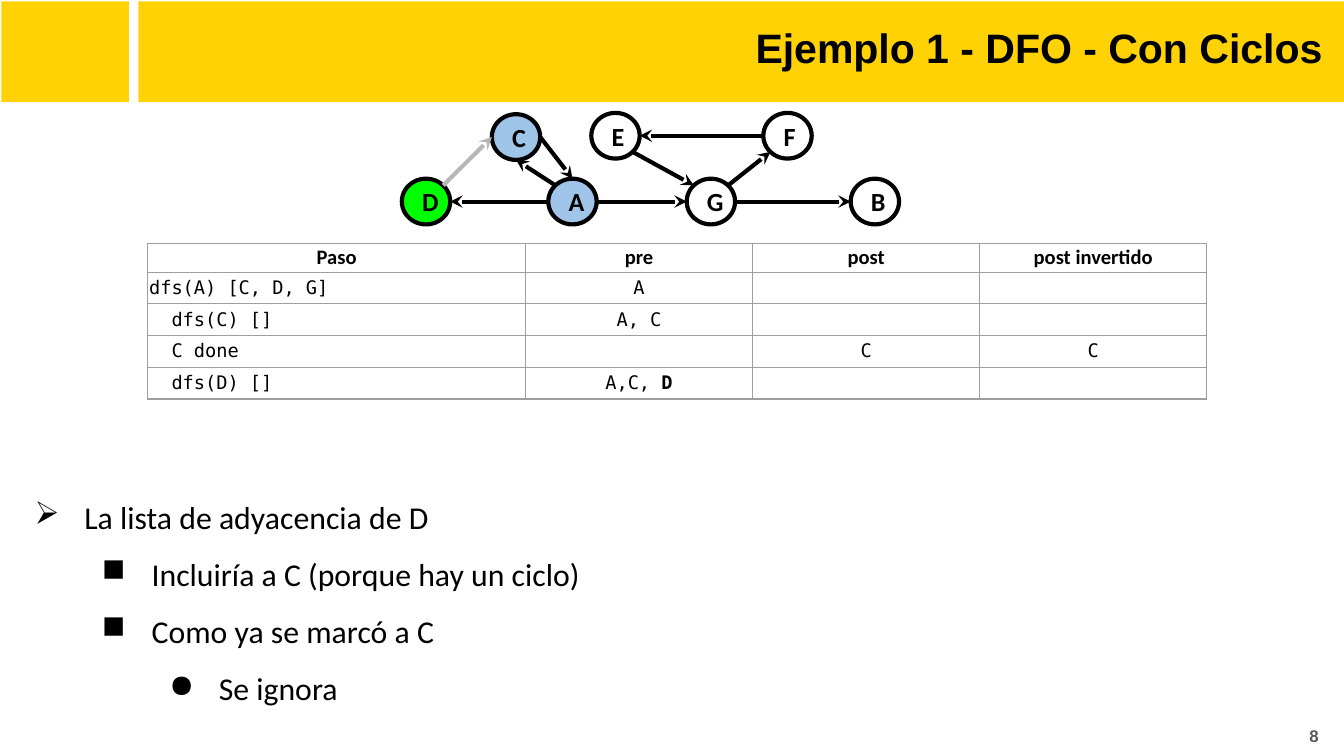
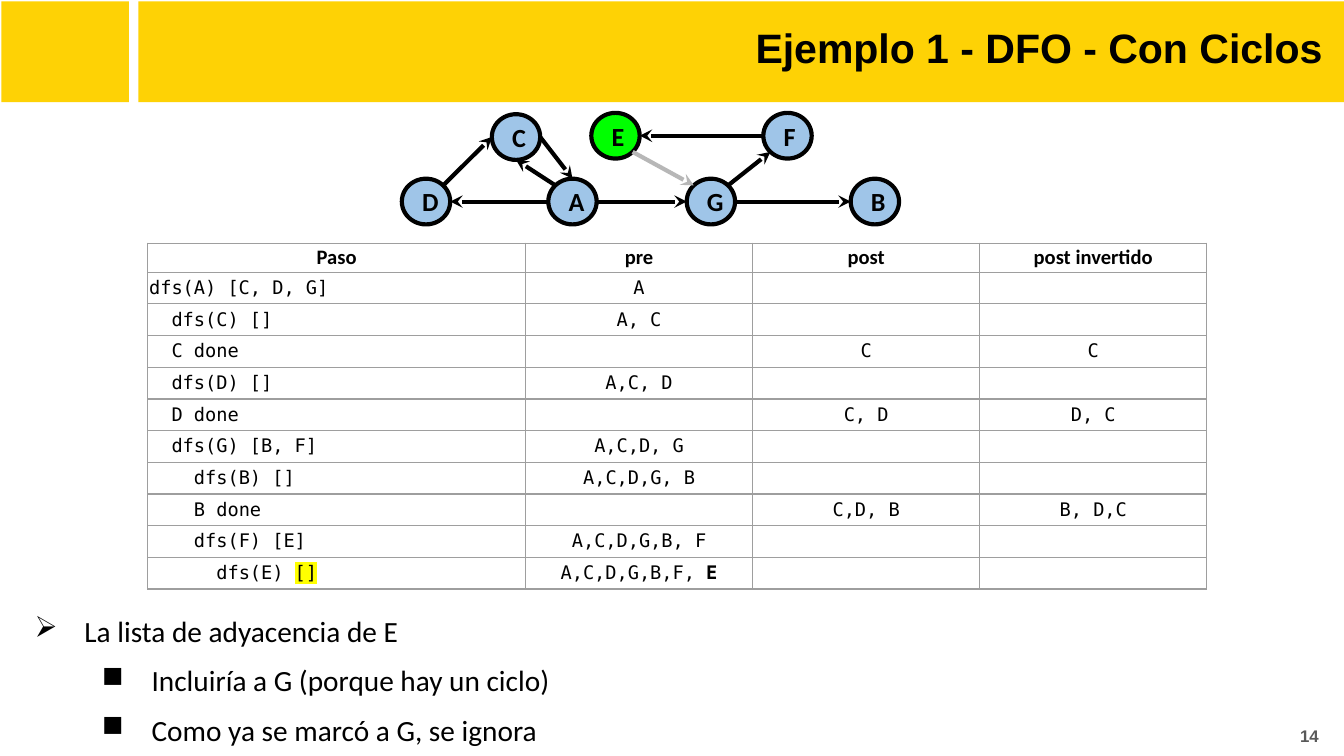
import pptx
import pptx.util
import pptx.dml.color
import pptx.enum.shapes
import pptx.enum.text
import pptx.oxml
import pptx.oxml.ns
import pptx.oxml.xmlchemy
from lxml import etree

COLS = 100                       # square grid over a 16:9 slide
ROWS = COLS * 9 / 16
UNIT = pptx.util.Inches(10) / COLS

GOLD, BLACK, GREY, RULE = "FED205", "000000", "595959", "9E9E9E"
WHITE, BLUE, GREEN, PALE, MARK = "FFFFFF", "9FC5E8", "00FF00", "B7B7B7", "FFFF00"

SHAPE = pptx.enum.shapes.MSO_SHAPE
ALIGN = pptx.enum.text.PP_ALIGN
ANCHOR = pptx.enum.text.MSO_ANCHOR

HEAD = {"name": "Arial", "size": 22, "bold": True, "color": BLACK}
PAGE = {"name": "Arial", "size": 9, "bold": True, "color": GREY}
NODE = {"name": "Calibri", "size": 14, "bold": True, "color": BLACK}
LABEL = {"name": "Calibri", "size": 11, "bold": True, "color": BLACK}
CODE = {"name": "DejaVu Sans Mono", "size": 10, "bold": False, "color": BLACK}

# Node places within the graph box, in grid units
SIZE = (3.6, 3.4)
NODES = {"E": (14.1, 0), "G": (21.2, 4.9), "B": (33.4, 4.9), "F": (26.9, 0),
         "C": (6.7, 0.1), "A": (10.9, 4.9), "D": (0, 4.9)}
DIAG = 0.71
SIDES = {"n": (0, -1), "s": (0, 1), "w": (-1, 0), "e": (1, 0),
         "nw": (-DIAG, -DIAG), "ne": (DIAG, -DIAG), "se": (DIAG, DIAG), "sw": (-DIAG, DIAG)}
EDGES = [("F", "w", "E", "e"), ("C", "e", "A", "n"), ("A", "nw", "C", "s"),
         ("E", "se", "G", "nw"), ("A", "w", "D", "e"), ("A", "e", "G", "w"),
         ("D", "ne", "C", "w"), ("G", "e", "B", "w"), ("G", "ne", "F", "sw")]

FIELDS = ["Paso", "pre", "post", "post invertido"]
WIDTHS = [28.1, 16.9, 16.9, 16.9]
# Each step: depth, then cells; text after "|" is emphasised
START = [(0, "dfs(A) [C, D, G]", "A", "", ""),
         (1, "dfs(C) []", "A, C", "", ""),
         (1, "C done", "", "C", "C")]
LATER = [(1, "dfs(D) []", "A,C, D", "", ""),
         (1, "D done", "", "C, D", "D, C"),
         (1, "dfs(G) [B, F]", "A,C,D, G", "", ""),
         (2, "dfs(B) []", "A,C,D,G, B", "", ""),
         (2, "B done", "", "C,D, B", "B, D,C"),
         (2, "dfs(F) [E]", "A,C,D,G,B, F", "", ""),
         (3, "dfs(E) |[]", "A,C,D,G,B,F, |E", "", "")]
BULLETS = "➢■●"

SLIDES = [
    {"page": "8", "fills": {"C": BLUE, "A": BLUE, "D": GREEN}, "seen": "DC",
     "steps": START + [(1, "dfs(D) []", "A,C, |D", "", "")],
     "top": 34.6, "size": 17, "space": 1.5,
     "notes": [(0, "La lista de adyacencia de D"),
               (1, "Incluiría a C (porque hay un ciclo)"),
               (1, "Como ya se marcó a C"),
               (2, "Se ignora")]},
    {"page": "14", "fills": dict.fromkeys("DGBFCA", BLUE) | {"E": GREEN}, "seen": "EG",
     "steps": START + LATER,
     "top": 43.6, "size": 15.7, "space": 1.4,
     "notes": [(0, "La lista de adyacencia de E"),
               (1, "Incluiría a G (porque hay un ciclo)"),
               (1, "Como ya se marcó a G, se ignora")]},
]


def grid(*vals):
    return [round(val * UNIT) for val in vals]


def tint(code):
    return pptx.dml.color.RGBColor.from_string(code)


def add(host, tag, **attrs):
    """Append a DrawingML element to host."""
    item = etree.SubElement(host, pptx.oxml.ns.qn("a:" + tag))
    for key, val in attrs.items():
        item.set(key, str(val))
    return item


def write(para, text, style):
    run = para.add_run()
    run.text = text
    for key, val in style.items():
        if key == "color":
            run.font.color.rgb = tint(val)
        else:
            setattr(run.font, key, pptx.util.Pt(val) if key == "size" else val)
    return run


def frame(shape, align, anchor, pads=(1, 1, 1, 1)):
    """Set up a shape's text and return its first paragraph."""
    body = shape.text_frame
    left, top, right, low = grid(*pads)
    form = {"word_wrap": True, "vertical_anchor": anchor, "margin_left": left,
            "margin_top": top, "margin_right": right, "margin_bottom": low}
    for key, val in form.items():
        setattr(body, key, val)
    body.paragraphs[0].alignment = align
    return body.paragraphs[0]


def solid(slide, kind, box, fill, edge=None):
    shape = slide.shapes.add_shape(kind, *grid(*box))
    shape.shadow.inherit = False
    shape.fill.solid()
    shape.fill.fore_color.rgb = tint(fill)
    if edge:
        shape.line.color.rgb = tint(edge)
        shape.line.width = pptx.util.Pt(2.25)
    else:
        shape.line.fill.background()
    return shape


def banner(slide, box, text):
    left, top, wide, high = box
    solid(slide, SHAPE.RECTANGLE, (left + 10.2, top, wide - 10.2, high), GOLD)
    solid(slide, SHAPE.RECTANGLE, (left, top, 9.5, high), GOLD)
    title = slide.shapes.add_textbox(*grid(left + 10.7, top + 0.6, wide - 11.3, high - 1.2))
    write(frame(title, ALIGN.RIGHT, ANCHOR.TOP), text, HEAD)


def number(slide, box, text):
    shape = slide.shapes.add_textbox(*grid(*box))
    write(frame(shape, ALIGN.RIGHT, ANCHOR.MIDDLE), text, PAGE)


def graph(slide, left, top, fills, seen):
    """Draw nodes and arrows; the edge named by seen is pale."""
    wide, high = SIZE

    def port(name, side):
        (x, y), (dx, dy) = NODES[name], SIDES[side]
        return left + x + wide * (1 + dx) / 2, top + y + high * (1 + dy) / 2

    for name, (x, y) in NODES.items():
        disc = solid(slide, SHAPE.OVAL, (left + x, top + y, wide, high),
                     fills.get(name, WHITE), BLACK)
        write(frame(disc, ALIGN.CENTER, ANCHOR.MIDDLE), name, NODE)
    for tail, out, head, into in EDGES:
        line = slide.shapes.add_connector(
            pptx.enum.shapes.MSO_CONNECTOR.STRAIGHT,
            *grid(*port(tail, out), *port(head, into)))
        line.line.color.rgb = tint(PALE if tail + head == seen else BLACK)
        line.line.width = pptx.util.Pt(2.25)
        add(line.line._get_or_add_ln(), "tailEnd", type="stealth")
        add(line._element.spPr, "effectLst")


def border(cell):
    cell.fill.background()
    props = cell._tc.get_or_add_tcPr()
    for spot, tag in enumerate(("lnL", "lnR", "lnT", "lnB")):
        line = add(props, tag, w=pptx.util.Pt(0.75))
        add(add(line, "solidFill"), "srgbClr", val=RULE)
        props.insert(spot, line)


def fill(cell, text, style, first, depth=0):
    """Write one cell; emphasis is a highlight in the first column, else bold."""
    form = {"vertical_anchor": ANCHOR.TOP if style is LABEL else ANCHOR.MIDDLE}
    form |= dict.fromkeys(("margin_left", "margin_right", "margin_top", "margin_bottom"),
                          grid(0.1)[0])
    for key, val in form.items():
        setattr(cell, key, val)
    para = cell.text_frame.paragraphs[0]
    para.alignment = ALIGN.LEFT if first and style is CODE else ALIGN.CENTER
    if depth:
        para._p.get_or_add_pPr().set("marL", str(pptx.util.Pt(12 * depth)))
    plain, _, strong = text.partition("|")
    if plain:
        write(para, plain, style)
    if strong:
        run = write(para, strong, style | {"bold": not first})
        if first:
            mark = add(run._r.rPr, "highlight")
            add(mark, "srgbClr", val=MARK)
            run._r.rPr.find(pptx.oxml.ns.qn("a:solidFill")).addnext(mark)
    add(para._p, "endParaRPr", sz=style["size"] * 100)
    border(cell)


def trace(slide, left, top, steps):
    high = [pptx.util.Pt(15.5)] + [pptx.util.Pt(17)] * len(steps)
    table = slide.shapes.add_table(len(high), len(FIELDS), *grid(left, top, sum(WIDTHS)),
                                   sum(high)).table
    table.first_row = table.horz_banding = False
    for col, wide in zip(table.columns, WIDTHS):
        col.width = grid(wide)[0]
    for row, size in zip(table.rows, high):
        row.height = size
    for col, text in enumerate(FIELDS):
        fill(table.cell(0, col), text, LABEL, col == 0)
    for row, (depth, *cells) in enumerate(steps, 1):
        for col, text in enumerate(cells):
            fill(table.cell(row, col), text, CODE, col == 0, 0 if col else depth)


def outline(slide, box, notes, size, space):
    shape = slide.shapes.add_textbox(*grid(*box))
    para = frame(shape, ALIGN.LEFT, ANCHOR.TOP, (1, 1, 1, 0.2))
    style = {"name": "Calibri", "size": size, "color": BLACK}
    for spot, (level, text) in enumerate(notes):
        if spot:
            para = shape.text_frame.add_paragraph()
        para.level = level
        para.line_spacing = space
        props = para._p.get_or_add_pPr()
        left, hang = grid(5 * (level + 1), -3.7)
        props.set("marL", str(left))
        props.set("indent", str(hang))
        add(add(props, "buClr"), "srgbClr", val=BLACK)
        add(props, "buChar", char=BULLETS[level])
        write(para, text, style)


def build(deck, data):
    slide = deck.slides.add_slide(deck.slide_layouts[6])
    banner(slide, (0.1, 0.1, COLS - 0.1, 7.5), "Ejemplo 1 - DFO - Con Ciclos")
    number(slide, (94.7, 52.6, 4.4, 4.3), data["page"])
    graph(slide, 29.9, 8.4, data["fills"], data["seen"])
    trace(slide, 11, 18.1, data["steps"])
    outline(slide, (0.3, data["top"], COLS - 0.3, ROWS - data["top"]),
            data["notes"], data["size"], data["space"])


def main():
    deck = pptx.Presentation()
    deck.slide_width, deck.slide_height = grid(COLS, ROWS)
    for data in SLIDES:
        build(deck, data)
    deck.save("out.pptx")


if __name__ == "__main__":
    main()
